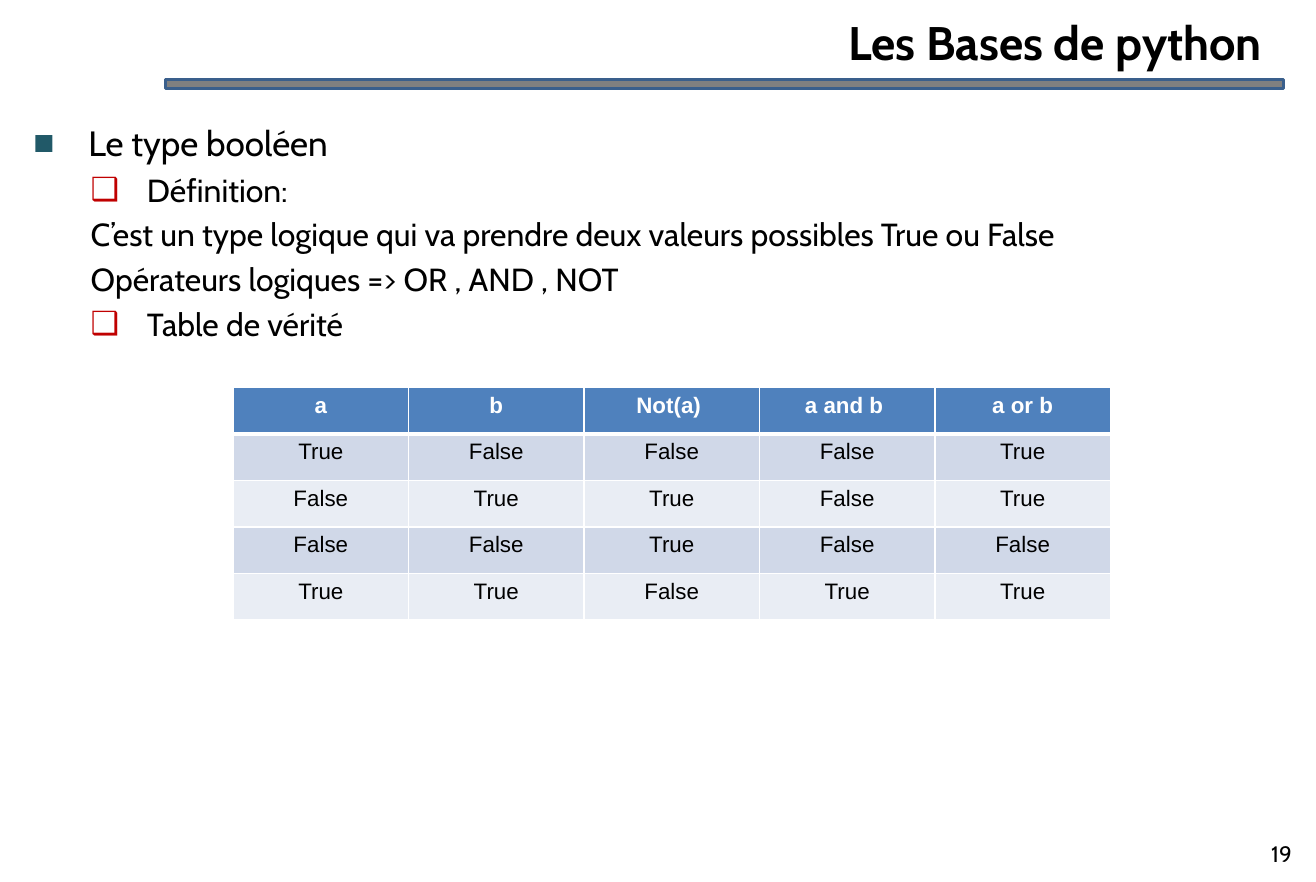
import pptx
import pptx.util
import pptx.dml.color
import pptx.enum.shapes
import pptx.enum.text
import pptx.oxml
import pptx.oxml.ns

# Content
TITLE = "Les Bases de python "
PAGE = "19"
# text, size, left margin, first-line indent, space before, bullet, bullet colour
LINES = [
    ("Le type booléen", 22, 0.48, -0.48, 0, "■", "teal"),
    ("Définition:", 20, 0.99, -0.49, 4, "❑", "red"),
    ("C’est un type logique qui va prendre deux valeurs possibles True ou False",
     20, 0.5, 0, 4, None, None),
    ("Opérateurs logiques => OR , AND , NOT", 20, 0.5, 0, 4, None, None),
    ("Table de vérité", 20, 0.99, -0.49, 4, "❑", "red"),
]
TRUTH = [
    ("a", "b", "Not(a) ", "a and b ", "a or b"),
    ("True", "False", "False", "False", "True"),
    ("False", "True", "True", "False", "True"),
    ("False", "False", "True", "False", "False"),
    ("True", "True", "False", "True", "True"),
]
COLORS = {
    "black": "000000", "white": "FFFFFF", "gray": "808080", "edge": "3A5F8C",
    "teal": "215968", "red": "C00000",
    "head": "4F81BD", "odd": "D0D8E8", "even": "E9EDF4",
}

Inches, Pt = pptx.util.Inches, pptx.util.Pt
ALIGN = pptx.enum.text.PP_ALIGN
NS = pptx.oxml.ns.nsdecls("a")


def color(name):
    return pptx.dml.color.RGBColor.from_string(COLORS[name])


def style(par, size, face="Cabin", tint="black", bold=False, align=ALIGN.LEFT):
    par.alignment = align
    par.font.size = Pt(size)
    par.font.name = face
    par.font.bold = bold
    par.font.color.rgb = color(tint)


def add_box(slide, left, top, width, height):
    box = slide.shapes.add_textbox(
        Inches(left), Inches(top), Inches(width), Inches(height))
    box.text_frame.word_wrap = True
    return box.text_frame


def indent(par, left, first, mark, tint):
    props = par._p.get_or_add_pPr()
    props.set("marL", str(Inches(left)))
    props.set("indent", str(Inches(first)))
    if mark:
        for xml in (
            f'<a:buClr {NS}><a:srgbClr val="{COLORS[tint]}"/></a:buClr>',
            f'<a:buFont {NS} typeface="Arial"/>',
            f'<a:buChar {NS} char="{mark}"/>',
        ):
            props.append(pptx.oxml.parse_xml(xml))


def border(cell, row):
    props = cell._tc.get_or_add_tcPr()
    wide = {"T": 3 if row == 1 else 1, "B": 3 if row == 0 else 1}
    for side in "LRTB":
        props.append(pptx.oxml.parse_xml(
            f'<a:ln{side} {NS} w="{Pt(wide.get(side, 1))}"><a:solidFill>'
            f'<a:srgbClr val="{COLORS["white"]}"/></a:solidFill></a:ln{side}>'))


def main():
    deck = pptx.Presentation()
    deck.slide_width, deck.slide_height = Inches(11.46), Inches(7.68)
    slide = deck.slides.add_slide(deck.slide_layouts[6])

    # Rule under the title
    rule = slide.shapes.add_shape(
        pptx.enum.shapes.MSO_SHAPE.RECTANGLE,
        Inches(1.44), Inches(0.69), Inches(9.74), Inches(0.08))
    rule.shadow.inherit = False
    rule.fill.solid()
    rule.fill.fore_color.rgb = color("gray")
    rule.line.color.rgb = color("edge")
    rule.line.width = Pt(2)

    # Body
    body = add_box(slide, 0.25, 1.02, 10.97, 6.17)
    body.margin_left = body.margin_right = Inches(0.04)
    body.margin_top = body.margin_bottom = Inches(0.04)
    for i, (text, size, left, first, gap, mark, tint) in enumerate(LINES):
        par = body.add_paragraph() if i else body.paragraphs[0]
        par.text = text
        indent(par, left, first, mark, tint)
        par.space_before = Pt(gap)
        style(par, size)

    # Title and page number
    title = add_box(slide, 1.44, 0.07, 9.74, 0.55).paragraphs[0]
    title.text = TITLE
    style(title, 29.5, bold=True, align=ALIGN.RIGHT)
    page = add_box(slide, 10.87, 7.27, 0.58, 0.41).paragraphs[0]
    page.text = PAGE
    style(page, 14, align=ALIGN.CENTER)

    # Truth table
    table = slide.shapes.add_table(
        len(TRUTH), len(TRUTH[0]),
        Inches(2.03), Inches(3.37), Inches(7.64), Inches(2.03)).table
    for r, row in enumerate(TRUTH):
        fill = "head" if r == 0 else "odd" if r % 2 else "even"
        for c, text in enumerate(row):
            cell = table.cell(r, c)
            border(cell, r)
            cell.fill.solid()
            cell.fill.fore_color.rgb = color(fill)
            cell.text = text
            style(cell.text_frame.paragraphs[0], 14, "Arial",
                  "black" if r else "white", r == 0, ALIGN.CENTER)

    deck.save("out.pptx")


if __name__ == "__main__":
    main()
